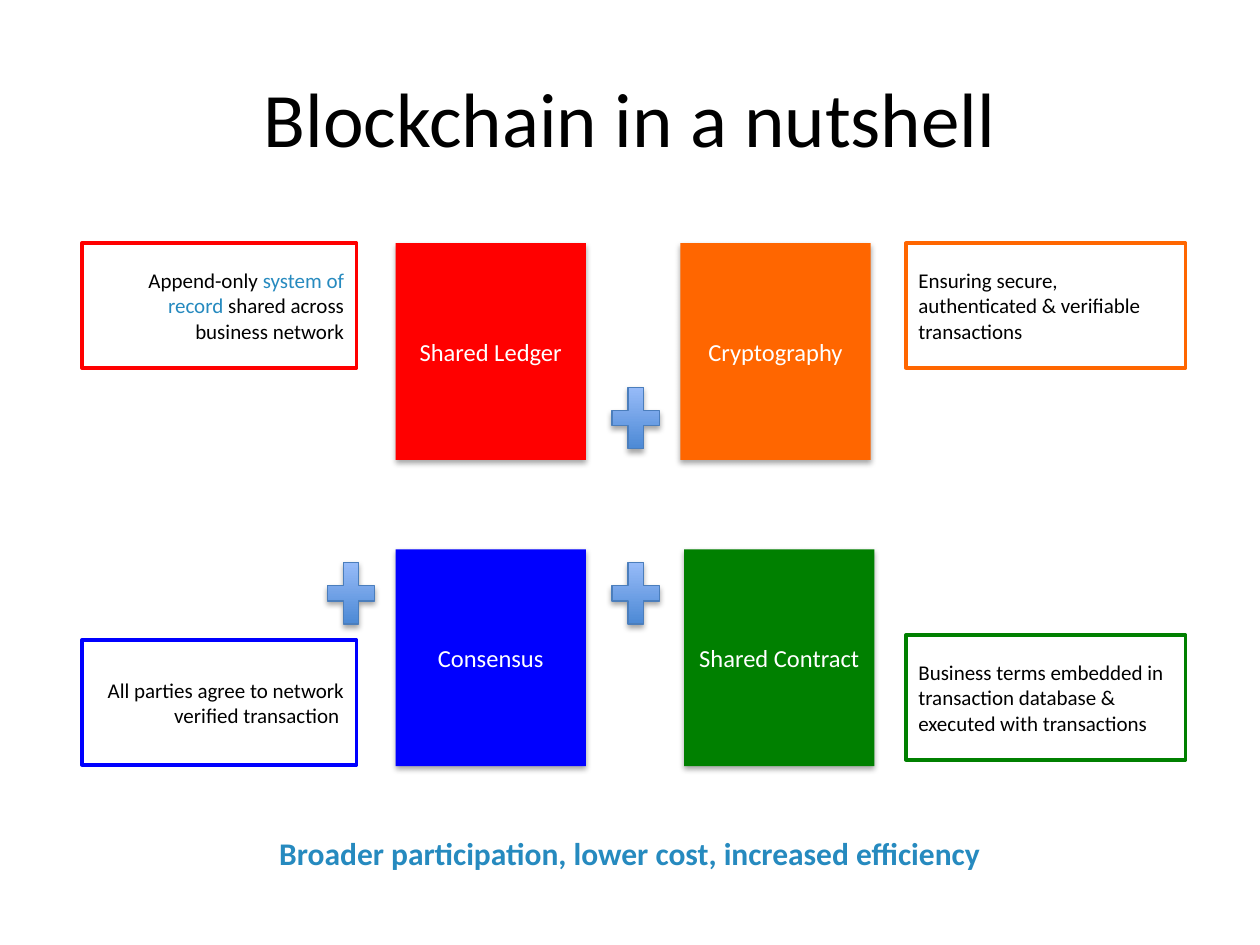
from pptx import Presentation
from pptx.dml.color import RGBColor
from pptx.enum.shapes import MSO_SHAPE
from pptx.enum.text import MSO_ANCHOR, PP_ALIGN
from pptx.oxml import parse_xml
from pptx.oxml.ns import nsdecls
from pptx.util import Inches, Pt

BLACK = RGBColor(0, 0, 0)
WHITE = RGBColor(255, 255, 255)
RED = RGBColor(255, 0, 0)
ORANGE = RGBColor(255, 102, 0)
BLUE = RGBColor(0, 0, 255)
GREEN = RGBColor(0, 128, 0)
TEAL = RGBColor(0x26, 0x8A, 0xBF)
DEEP = RGBColor(0x3F, 0x80, 0xCE)
PALE = RGBColor(0xA4, 0xC4, 0xFF)
EDGE = RGBColor(0x4B, 0x7E, 0xBC)
SHADE = (
    f'<a:effectLst {nsdecls("a")}>'
    '<a:outerShdw blurRad="40000" dist="23000" dir="5400000" rotWithShape="0">'
    '<a:srgbClr val="000000"><a:alpha val="35000"/></a:srgbClr>'
    '</a:outerShdw></a:effectLst>'
)


def write(frame, parts, font="Calibri", size=12, color=BLACK, bold=False,
          align=PP_ALIGN.LEFT, anchor=MSO_ANCHOR.MIDDLE):
    """Fill a frame with text, given as a string or (text, color) pairs."""
    frame.word_wrap = True
    frame.vertical_anchor = anchor
    line = frame.paragraphs[0]
    line.alignment = align
    if isinstance(parts, str):
        parts = [(parts, color)]
    for text, tint in parts:
        run = line.add_run()
        run.text = text
        run.font.name = font
        run.font.size = Pt(size)
        run.font.bold = bold
        run.font.color.rgb = tint


class Deck:
    """Hold the style and the current slide."""

    font = "Calibri"
    card_w, card_h = 1.51, 1.72
    plus_w, plus_h = 0.51, 0.66
    note_h = 0.99

    def __init__(self):
        self.prs = Presentation()
        self.prs.slide_width = Inches(10)
        self.prs.slide_height = Inches(7.5)
        self.slide = self.prs.slides.add_slide(self.prs.slide_layouts[5])

    def title(self, text):
        box = self.slide.shapes.title
        box.left, box.top = Inches(0.5), Inches(0.3)
        box.width, box.height = Inches(9), Inches(1.25)
        write(box.text_frame, text, font=self.font, size=44,
              align=PP_ALIGN.CENTER)

    def shape(self, kind, x, y, w, h, shade=False):
        item = self.slide.shapes.add_shape(
            kind, Inches(x), Inches(y), Inches(w), Inches(h))
        item.shadow.inherit = False
        if shade:
            props = item.fill._xPr
            props.remove(props.effectLst)
            props.append(parse_xml(SHADE))
        return item

    def card(self, text, x, y, color):
        item = self.shape(MSO_SHAPE.RECTANGLE, x, y,
                          self.card_w, self.card_h, shade=True)
        item.fill.solid()
        item.fill.fore_color.rgb = color
        item.line.fill.background()
        write(item.text_frame, text, font=self.font, size=14, color=WHITE,
              align=PP_ALIGN.CENTER)

    def plus(self, x, y):
        item = self.shape(MSO_SHAPE.MATH_PLUS, x, y,
                          self.plus_w, self.plus_h, shade=True)
        item.fill.gradient()
        item.fill.gradient_angle = 90
        for stop, color, place in zip(item.fill.gradient_stops,
                                      (DEEP, PALE), (0, 1)):
            stop.color.rgb = color
            stop.position = place
        item.line.color.rgb = EDGE
        item.line.width = Pt(0.75)

    def note(self, parts, x, y, w, color, align):
        item = self.shape(MSO_SHAPE.RECTANGLE, x, y, w, self.note_h)
        item.fill.background()
        item.line.color.rgb = color
        item.line.width = Pt(2)
        write(item.text_frame, parts, font=self.font, align=align)

    def label(self, text, x, y, w, h):
        box = self.slide.shapes.add_textbox(
            Inches(x), Inches(y), Inches(w), Inches(h))
        write(box.text_frame, text, font=self.font, size=18, color=TEAL,
              bold=True, align=PP_ALIGN.CENTER, anchor=MSO_ANCHOR.TOP)


def main():
    deck = Deck()
    deck.title("Blockchain in a nutshell")

    top, low = 1.93, 4.36
    for text, x, y, color in (
        ("Shared Contract", 5.43, low, GREEN),
        ("Cryptography", 5.4, top, ORANGE),
        ("Shared Ledger", 3.14, top, RED),
        ("Consensus", 3.14, low, BLUE),
    ):
        deck.card(text, x, y, color)

    for x, y in ((4.79, 2.99), (4.79, 4.38), (2.53, 4.38)):
        deck.plus(x, y)

    left = {"x": 0.65, "w": 2.18, "align": PP_ALIGN.RIGHT}
    right = {"x": 7.19, "w": 2.22, "align": PP_ALIGN.LEFT}
    ledger = [("Append-only ", BLACK), ("system of record", TEAL),
              (" shared across business network", BLACK)]
    for parts, y, color, side in (
        ("Ensuring secure, authenticated & verifiable transactions",
         top, ORANGE, right),
        ("Business terms embedded in transaction database & "
         "executed with transactions", 5.04, GREEN, right),
        ("All parties agree to network verified transaction ",
         5.08, BLUE, left),
        (ledger, top, RED, left),
    ):
        deck.note(parts, y=y, color=color, **side)

    deck.label("Broader participation, lower cost, increased efficiency",
               0, 6.57, 10, 0.71)
    deck.prs.save("out.pptx")


if __name__ == "__main__":
    main()
